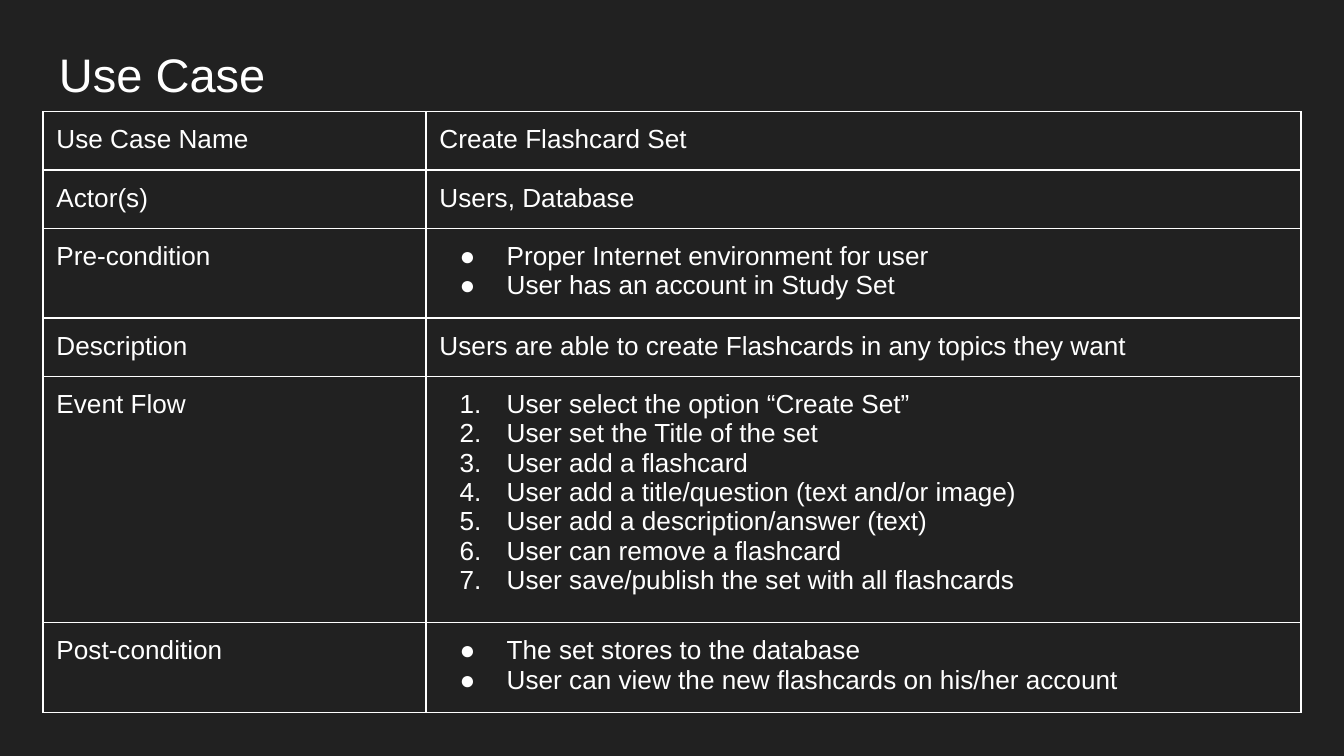
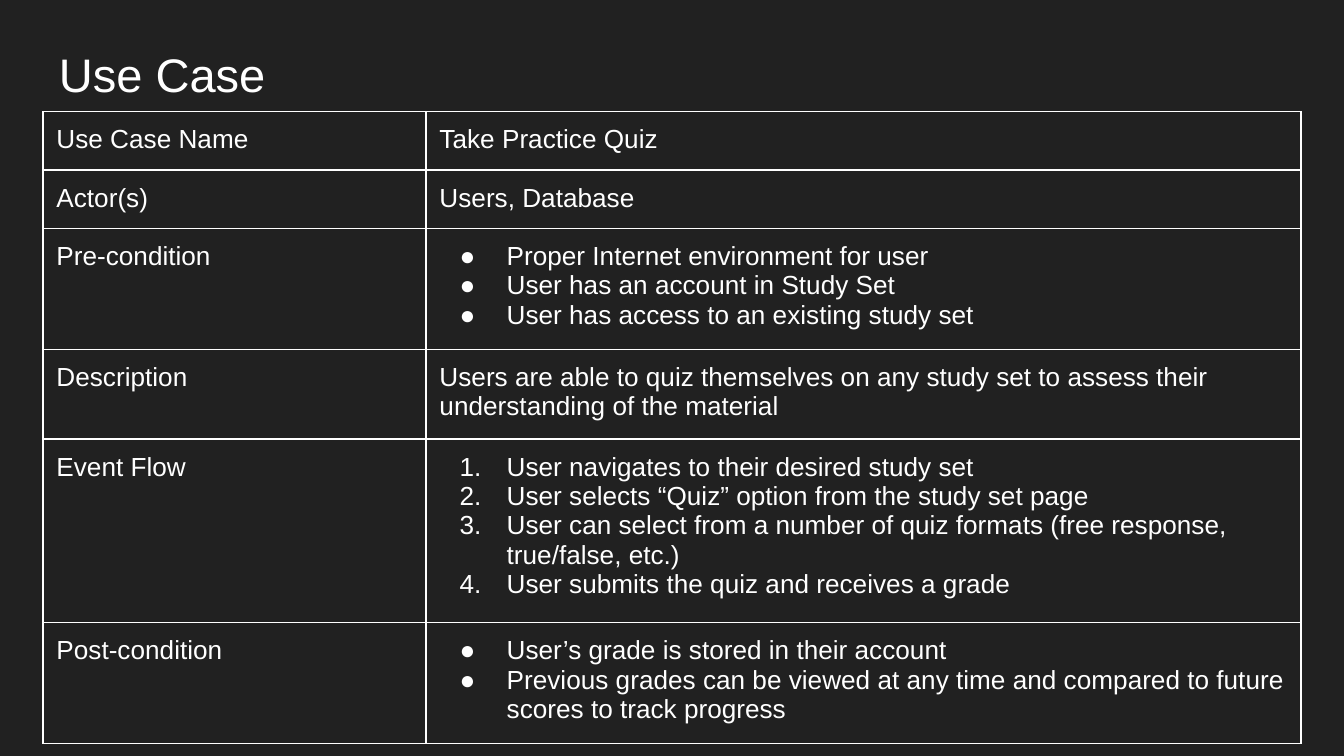
from dataclasses import dataclass
from enum import Enum

from lxml.etree import SubElement
from pptx import Presentation
from pptx.dml.color import RGBColor
from pptx.enum.text import MSO_ANCHOR
from pptx.oxml.ns import qn
from pptx.slide import Slide
from pptx.table import _Cell as Cell
from pptx.text.text import TextFrame, _Paragraph as Paragraph
from pptx.util import Emu, Inches, Pt

WIDTH = Inches(10)
HEIGHT = WIDTH * 9 // 16
BACKGROUND, INK = "212121", "FFFFFF"
FONT = "Arial"
INSET = Inches(0.1)
LIST_INDENT, LIST_HANGING = Inches(0.5), Inches(0.35)
BORDER_WIDTH = Pt(0.75)
COLUMN_SHARES = (28.5, 65.1)
ROW_SHARES = (7.65, 7.65, 7.47, 7.47, 7.47, 7.47)
FIELDS = ("Use Case Name", "Actor(s)", "Pre-condition",
          "Description", "Event Flow", "Post-condition")


class Marker(Enum):
    NONE = ""
    BULLET = "●"
    NUMBER = "arabicPeriod"


FIELD_MARKERS = (Marker.NONE, Marker.NONE, Marker.BULLET,
                 Marker.NONE, Marker.NUMBER, Marker.BULLET)


@dataclass(frozen=True)
class UseCase:
    name: str
    actors: str
    preconditions: tuple[str, ...]
    description: str
    event_flow: tuple[str, ...]
    postconditions: tuple[str, ...]

    def entries(self) -> list[tuple[str, ...]]:
        return [(self.name,), (self.actors,), self.preconditions,
                (self.description,), self.event_flow, self.postconditions]


USE_CASES = (
    UseCase(
        name="Create Flashcard Set",
        actors="Users, Database",
        preconditions=("Proper Internet environment for user",
                       "User has an account in Study Set"),
        description="Users are able to create Flashcards in any topics they want",
        event_flow=("User select the option “Create Set”",
                    "User set the Title of the set",
                    "User add a flashcard",
                    "User add a title/question (text and/or image)",
                    "User add a description/answer (text)",
                    "User can remove a flashcard",
                    "User save/publish the set with all flashcards"),
        postconditions=("The set stores to the database",
                        "User can view the new flashcards on his/her account"),
    ),
    UseCase(
        name="Take Practice Quiz",
        actors="Users, Database",
        preconditions=("Proper Internet environment for user",
                       "User has an account in Study Set",
                       "User has access to an existing study set"),
        description="Users are able to quiz themselves on any study set to assess "
                    "their understanding of the material",
        event_flow=("User navigates to their desired study set",
                    "User selects “Quiz” option from the study set page",
                    "User can select from a number of quiz formats "
                    "(free response, true/false, etc.)",
                    "User submits the quiz and receives a grade"),
        postconditions=("User’s grade is stored in their account",
                        "Previous grades can be viewed at any time and compared "
                        "to future scores to track progress"),
    ),
)


def across(percent: float) -> Emu:
    return Emu(round(WIDTH * percent / 100))


def down(percent: float) -> Emu:
    return Emu(round(HEIGHT * percent / 100))


def color(value: str) -> RGBColor:
    return RGBColor.from_string(value)


def add_solid_fill(parent, value: str, tag: str = "a:solidFill") -> None:
    SubElement(SubElement(parent, qn(tag)), qn("a:srgbClr"), val=value)


def mark(paragraph: Paragraph, marker: Marker) -> None:
    properties = paragraph._p.get_or_add_pPr()
    properties.set("marL", str(LIST_INDENT))
    properties.set("indent", str(-LIST_HANGING))
    add_solid_fill(properties, INK, "a:buClr")
    SubElement(properties, qn("a:buFont"), typeface=FONT)
    if marker is Marker.NUMBER:
        SubElement(properties, qn("a:buAutoNum"), type=marker.value)
    else:
        SubElement(properties, qn("a:buChar"), char=marker.value)


def write(frame: TextFrame, lines: tuple[str, ...], *, size: float = 14,
          ink: str = INK, marker: Marker = Marker.NONE) -> None:
    frame.word_wrap = True
    for index, line in enumerate(lines):
        paragraph = frame.add_paragraph() if index else frame.paragraphs[0]
        if marker is not Marker.NONE:
            mark(paragraph, marker)
        run = paragraph.add_run()
        run.text = line
        run.font.name = FONT
        run.font.size = Pt(size)
        run.font.color.rgb = color(ink)


def set_insets(holder: TextFrame | Cell) -> None:
    holder.margin_left = holder.margin_right = INSET
    holder.margin_top = holder.margin_bottom = INSET
    holder.vertical_anchor = MSO_ANCHOR.TOP


def outline(cell: Cell) -> None:
    properties = cell._tc.get_or_add_tcPr()
    for position, side in enumerate(("a:lnL", "a:lnR", "a:lnT", "a:lnB")):
        line = SubElement(properties, qn(side), w=str(BORDER_WIDTH))
        add_solid_fill(line, INK)
        properties.insert(position, line)


def add_title(slide: Slide, title: str) -> None:
    box = slide.shapes.add_textbox(across(3.4), down(4.27), across(93.2), down(11.2))
    set_insets(box.text_frame)
    write(box.text_frame, (title,), size=25.2)


def add_use_case_table(slide: Slide, use_case: UseCase) -> None:
    table = slide.shapes.add_table(
        len(FIELDS), len(COLUMN_SHARES), across(3.2), down(14.76),
        across(sum(COLUMN_SHARES)), down(sum(ROW_SHARES))).table
    table.first_row = table.horz_banding = False
    for column, share in zip(table.columns, COLUMN_SHARES):
        column.width = across(share)
    for row, share, field, entry, marker in zip(
            table.rows, ROW_SHARES, FIELDS, use_case.entries(), FIELD_MARKERS):
        row.height = down(share)
        field_cell, entry_cell = row.cells
        for cell in (field_cell, entry_cell):
            set_insets(cell)
            cell.fill.background()
            outline(cell)
        write(field_cell.text_frame, (field,))
        write(entry_cell.text_frame, entry, marker=marker)


def main() -> None:
    deck = Presentation()
    deck.slide_width, deck.slide_height = WIDTH, HEIGHT
    for use_case in USE_CASES:
        slide = deck.slides.add_slide(deck.slide_layouts[6])
        slide.background.fill.solid()
        slide.background.fill.fore_color.rgb = color(BACKGROUND)
        add_title(slide, "Use Case")
        add_use_case_table(slide, use_case)
    deck.save("out.pptx")


if __name__ == "__main__":
    main()
